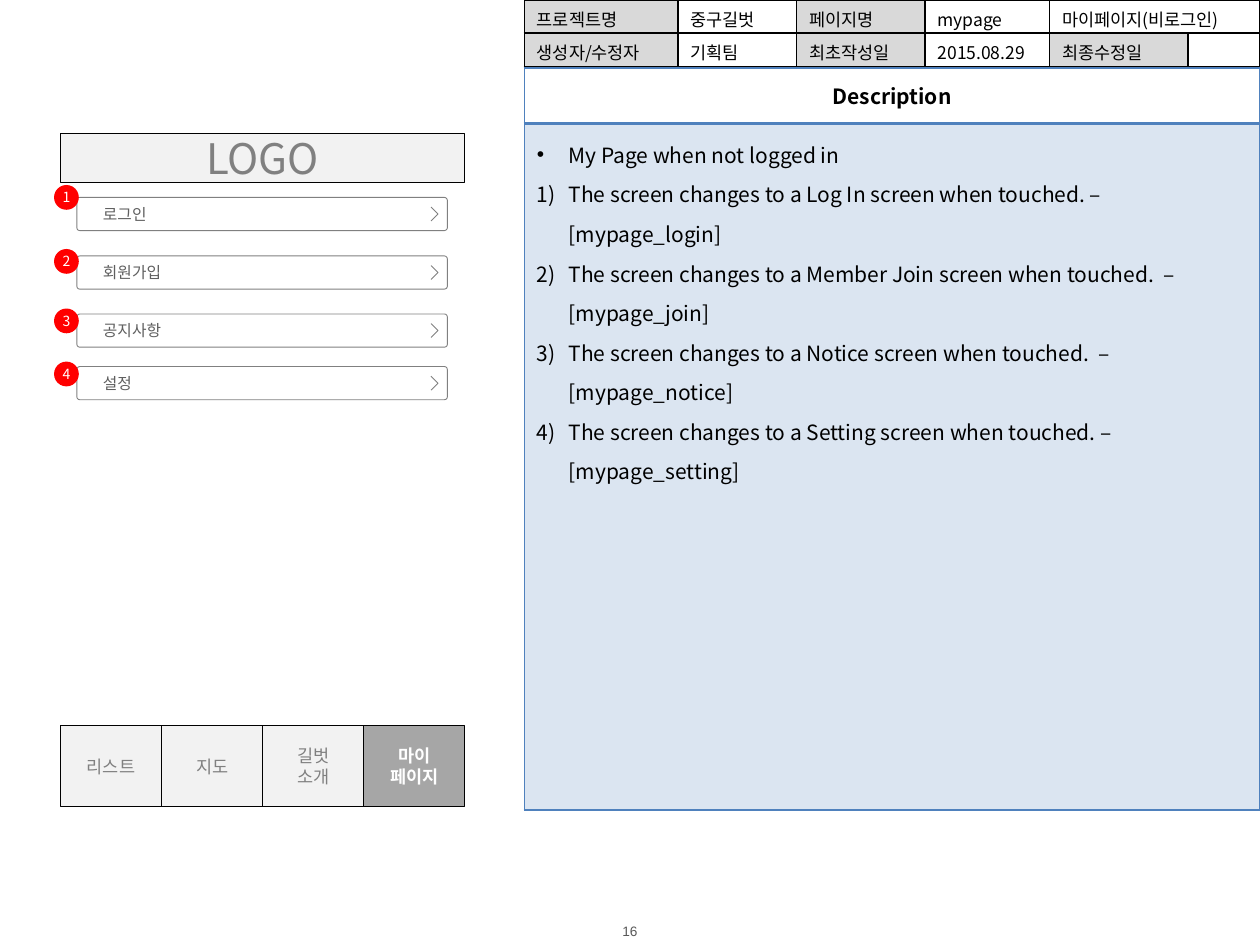
from lxml import etree
from pptx import Presentation
from pptx import util as u
from pptx.dml.color import RGBColor
from pptx.enum import shapes, text
from pptx.oxml.ns import qn

BLACK = RGBColor(0x00, 0x00, 0x00)
WHITE = RGBColor(0xFF, 0xFF, 0xFF)
PALE = RGBColor(0xF2, 0xF2, 0xF2)
LABEL = RGBColor(0xD9, 0xD9, 0xD9)
ACTIVE = RGBColor(0xA6, 0xA6, 0xA6)
GREY = RGBColor(0x80, 0x80, 0x80)
DARK = RGBColor(0x59, 0x59, 0x59)
MENU_TEXT = RGBColor(0x5F, 0x5F, 0x5F)
RED = RGBColor(0xFF, 0x00, 0x00)
BLUE = RGBColor(0x4F, 0x81, 0xBD)

SANS = "Noto Sans CJK KR"
CENTER = text.PP_ALIGN.CENTER
LEFT = text.PP_ALIGN.LEFT

INFO_COLUMNS = (3.1, 2.39, 2.59, 2.51, 2.79, 1.45)
INFO_ROWS = (
    ("프로젝트명", "중구길벗", "페이지명", "mypage", "마이페이지(비로그인)", ""),
    ("생성자/수정자", "기획팀", "최초작성일", "2015.08.29", "최종수정일", ""),
)
NOTES = (
    "My Page when not logged in",
    "The screen changes to a Log In screen when touched. – [mypage_login]",
    "The screen changes to a Member Join screen when touched.  – [mypage_join]",
    "The screen changes to a Notice screen when touched.  – [mypage_notice]",
    "The screen changes to a Setting screen when touched. – [mypage_setting]",
)
# Label, top of the row, top of its badge (from the top of the phone)
MENU = (
    ("로그인", 1.29, 1.04),
    ("회원가입", 2.47, 2.33),
    ("공지사항", 3.64, 3.53),
    ("설정", 4.7, 4.6),
)
TABS = ("리스트", "지도", "길벗\n소개", "마이\n페이지")


def style(para, size, color, name=SANS, bold=False, align=LEFT):
    para.alignment = align
    para.font.size = u.Pt(size)
    para.font.name = name
    para.font.bold = bold
    para.font.color.rgb = color


def add_box(parent, kind, box, fill, line, words, size, color,
            name=SANS, bold=False, align=CENTER, margins=(0.25, 0.13, 0.25, 0.13)):
    """Place a filled preset shape with vertically centred text."""
    shape = parent.add_shape(kind, *(u.Cm(length) for length in box))
    shape.shadow.inherit = False
    shape.fill.solid()
    shape.fill.fore_color.rgb = fill
    if line is None:
        shape.line.fill.background()
    else:
        shape.line.color.rgb = line
        shape.line.width = u.Pt(0.5)
    frame = shape.text_frame
    frame.vertical_anchor = text.MSO_ANCHOR.MIDDLE
    (frame.margin_left, frame.margin_top,
     frame.margin_right, frame.margin_bottom) = (u.Cm(m) for m in margins)
    frame.text = words
    for para in frame.paragraphs:
        style(para, size, color, name, bold, align)
    return shape


def set_borders(cell, color, **widths):
    """Set cell borders; widths in points for L, R, T and B."""
    props = cell._tc.get_or_add_tcPr()
    for index, side in enumerate("LRTB"):
        line = etree.Element(qn(f"a:ln{side}"), w=str(u.Pt(widths.get(side, 1))))
        solid = etree.SubElement(line, qn("a:solidFill"))
        etree.SubElement(solid, qn("a:srgbClr"), val=str(color))
        props.insert(index, line)


def add_grid(page, left, top, columns, rows):
    """Place a table without any banding or header style."""
    table = page.shapes.add_table(
        len(rows), len(columns), u.Cm(left), u.Cm(top),
        u.Cm(sum(columns)), u.Cm(sum(rows))).table
    table.first_row = table.horz_banding = False
    for column, width in zip(table.columns, columns):
        column.width = u.Cm(width)
    for row, height in zip(table.rows, rows):
        row.height = u.Cm(height)
    return table


def add_info_table(page, left, top):
    table = add_grid(page, left, top, INFO_COLUMNS, (0.67, 0.67))
    for r, words in enumerate(INFO_ROWS):
        for c, word in enumerate(words):
            cell = table.cell(r, c)
            cell.text = word
            cell.margin_top, cell.margin_bottom = u.Cm(0.13), u.Cm(0)
            para = cell.text_frame.paragraphs[0]
            style(para, 10, BLACK)
            if not word:
                etree.SubElement(para._p, qn("a:endParaRPr"), sz="1000")
            if c % 2 == 0 and (r, c) != (0, 4):
                cell.fill.solid()
                cell.fill.fore_color.rgb = LABEL
            else:
                cell.fill.background()
            set_borders(cell, BLACK)
    table.cell(0, 4).merge(table.cell(0, 5))


def add_description(page, left, top):
    table = add_grid(page, left, top, (sum(INFO_COLUMNS),), (1.12, 13.84))
    # Heading
    heading = table.cell(0, 0)
    heading.text = "Description"
    heading.vertical_anchor = text.MSO_ANCHOR.MIDDLE
    style(heading.text_frame.paragraphs[0], 12, BLACK, bold=True, align=CENTER)
    heading.fill.background()
    set_borders(heading, BLUE, B=2)
    # Notes: one bullet, then a numbered list
    body = table.cell(1, 0)
    body.text = "\n".join(NOTES)
    for index, para in enumerate(body.text_frame.paragraphs):
        props = para._p.get_or_add_pPr()
        props.set("marL", str(u.Cm(0.64)))
        props.set("indent", str(-u.Cm(0.64)))
        if index == 0:
            etree.SubElement(props, qn("a:buFont"), typeface="Arial")
            etree.SubElement(props, qn("a:buChar"), char="•")
        else:
            etree.SubElement(props, qn("a:buAutoNum"), type="arabicParenR")
        para.line_spacing = 1.3
        style(para, 12, BLACK)
    body.fill.solid()
    body.fill.fore_color.rgb = BLUE
    tint = body._tc.tcPr.find(".//" + qn("a:srgbClr"))
    etree.SubElement(tint, qn("a:alpha"), val="20000")
    set_borders(body, BLUE, T=2)


def add_menu_row(page, left, top, label):
    width, height = 7.47, 0.67
    group = page.shapes.add_group_shape().shapes
    row = add_box(group, shapes.MSO_SHAPE.ROUNDED_RECTANGLE, (left, top, width, height),
                  WHITE, GREY, label, 9, MENU_TEXT, "Lato", align=LEFT,
                  margins=(0.51, 0.13, 0.18, 0.13))
    row.adjustments[0] = 0.09
    # Chevron, centred on the row
    x, y = left + width - 0.33, top + height / 2
    pen = group.build_freeform(u.Cm(x), u.Cm(y + 0.14))
    pen.add_line_segments([(u.Cm(x + 0.14), u.Cm(y)), (u.Cm(x), u.Cm(y - 0.14))], close=False)
    chevron = pen.convert_to_shape()
    chevron.shadow.inherit = False
    chevron.fill.background()
    chevron.line.color.rgb = GREY
    chevron.line.width = u.Pt(0.5)


def add_phone(page, left, top, width):
    rectangle = shapes.MSO_SHAPE.RECTANGLE
    # Header
    add_box(page.shapes, rectangle, (left, top, width, 0.99), PALE, BLACK, "LOGO", 24, GREY)
    # Menu rows with numbered badges
    for number, (label, row_top, badge_top) in enumerate(MENU, 1):
        add_menu_row(page, left + 0.33, top + row_top, label)
        add_box(page.shapes, shapes.MSO_SHAPE.OVAL, (left - 0.13, top + badge_top, 0.5, 0.5),
                RED, None, str(number), 8, WHITE, margins=(0, 0, 0, 0))
    # Tab bar, last tab active
    step = width / len(TABS)
    for index, label in enumerate(TABS):
        active = index == len(TABS) - 1
        add_box(page.shapes, rectangle, (left + index * step, top + 11.94, step, 1.63),
                ACTIVE if active else PALE, BLACK, label, 10,
                WHITE if active else GREY, bold=active)


def add_page_number(page, left, top):
    box = page.shapes.add_textbox(u.Cm(left), u.Cm(top), u.Cm(2.18), u.Cm(0.36))
    frame = box.text_frame
    frame.word_wrap = True
    frame.vertical_anchor = text.MSO_ANCHOR.MIDDLE
    frame.margin_left = frame.margin_top = frame.margin_right = frame.margin_bottom = 0
    frame.text = "16"
    style(frame.paragraphs[0], 7.8, DARK, "Arial", align=CENTER)


def main():
    deck = Presentation()
    deck.slide_width, deck.slide_height = u.Cm(25.4), u.Cm(19.05)
    page = deck.slides.add_slide(deck.slide_layouts[6])
    add_page_number(page, 11.61, 18.59)
    add_info_table(page, 10.57, 0)
    add_description(page, 10.57, 1.37)
    add_phone(page, 1.22, 2.69, 8.15)
    deck.save("out.pptx")


if __name__ == "__main__":
    main()
